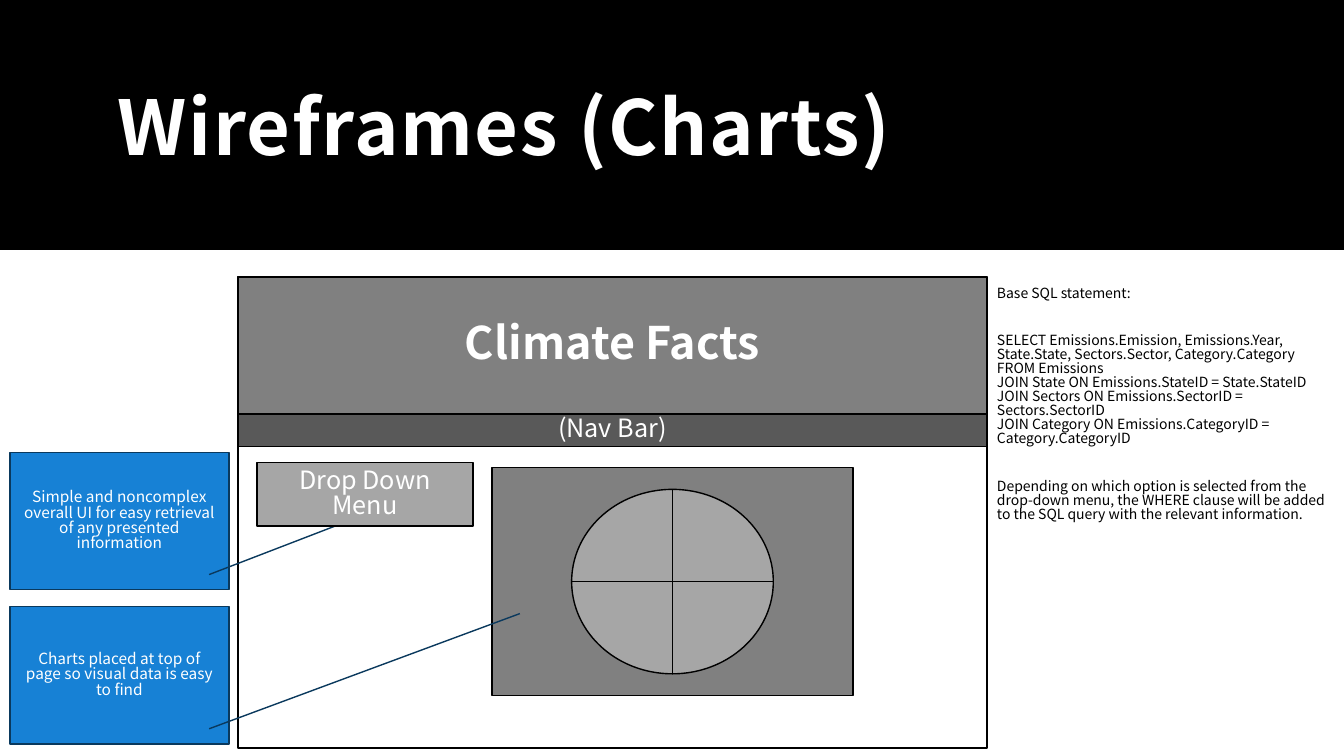
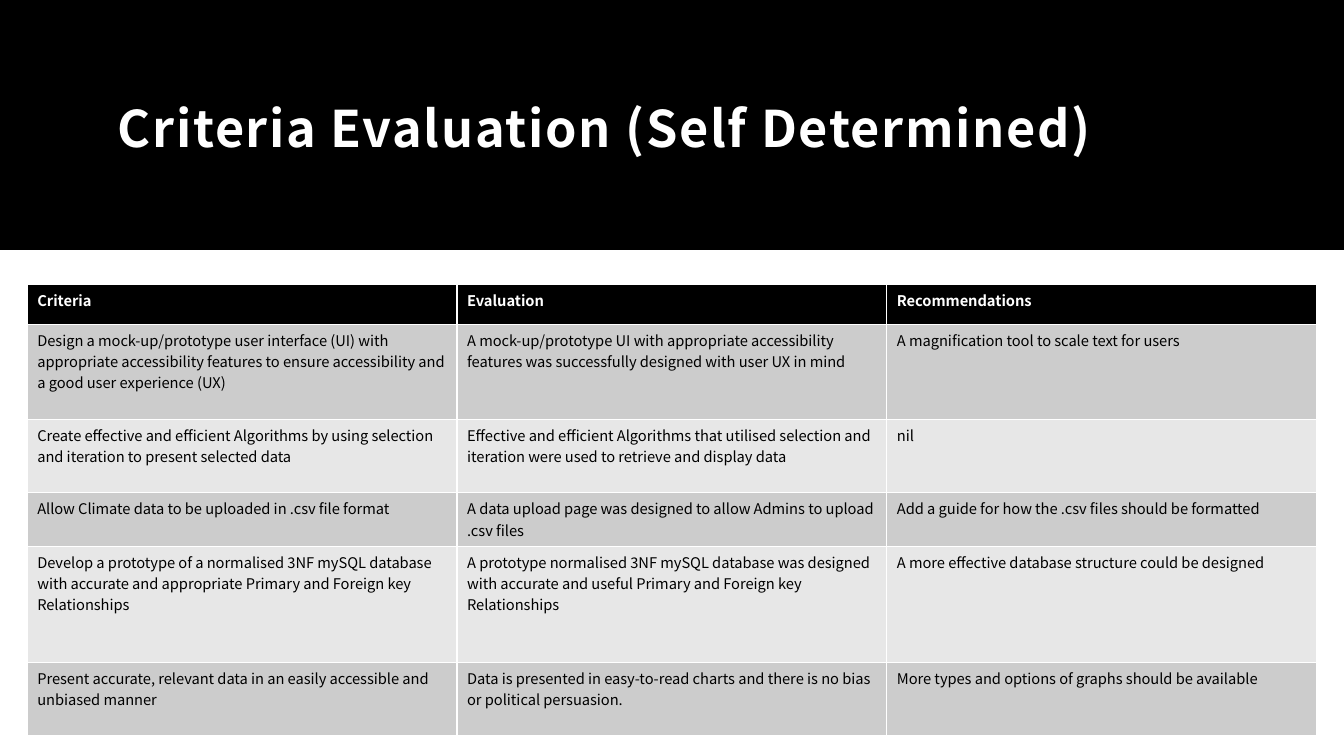
from pptx import Presentation
from pptx import util as u
from pptx.dml.color import RGBColor
from pptx.enum import shapes, text

FONT = "Noto Sans CJK JP"
COLORS = {
    "black": "000000", "white": "FFFFFF",
    "dark_grey": "595959", "grey": "808080", "light_grey": "A6A6A6",
    "callout": "1781D5", "callout_line": "0A395D",
    "row_odd": "CCCCCC", "row_even": "E7E7E7",
}
SLIDE_WIDTH, SLIDE_HEIGHT = 13.33, 7.5
TIGHT_SPACING = 0.83

# Each group is set apart from the one above it.
SQL_NOTES = [
    ["Base SQL statement:"],
    [
        "SELECT Emissions.Emission, Emissions.Year, State.State, "
        "Sectors.Sector, Category.Category",
        "FROM Emissions",
        "JOIN State ON Emissions.StateID = State.StateID",
        "JOIN Sectors ON Emissions.SectorID = Sectors.SectorID",
        "JOIN Category ON Emissions.CategoryID = Category.CategoryID",
    ],
    [
        "Depending on which option is selected from the drop-down menu, the "
        "WHERE clause will be added to the SQL query with the relevant information.",
    ],
]

CRITERIA = [
    ("Criteria", "Evaluation", "Recommendations"),
    (
        "Design a mock-up/prototype user interface (UI) with appropriate "
        "accessibility features to ensure accessibility and a good user experience (UX)",
        "A mock-up/prototype UI with appropriate accessibility features was "
        "successfully designed with user UX in mind",
        "A magnification tool to scale text for users",
    ),
    (
        "Create effective and efficient Algorithms by using selection and "
        "iteration to present selected data",
        "Effective and efficient Algorithms that utilised selection and "
        "iteration were used to retrieve and display data",
        "nil",
    ),
    (
        "Allow Climate data to be uploaded in .csv file format",
        "A data upload page was designed to allow Admins to upload .csv files",
        "Add a guide for how the .csv files should be formatted",
    ),
    (
        "Develop a prototype of a normalised 3NF mySQL database with accurate "
        "and appropriate Primary and Foreign key Relationships",
        "A prototype normalised 3NF mySQL database was designed with accurate "
        "and useful Primary and Foreign key Relationships",
        "A more effective database structure could be designed",
    ),
    (
        "Present accurate, relevant data in an easily accessible and unbiased manner",
        "Data is presented in easy-to-read charts and there is no bias or "
        "political persuasion.",
        "More types and options of graphs should be available",
    ),
]
ROW_HEIGHTS = [0.4, 0.94, 0.73, 0.53, 1.15, 0.73]


def rgb(name):
    return RGBColor.from_string(COLORS[name])


def format_text(paragraph, size, color, bold=False, spacing=None):
    paragraph.line_spacing = spacing
    for run in paragraph.runs:
        run.font.name = FONT
        run.font.size = u.Pt(size)
        run.font.bold = bold
        run.font.color.rgb = rgb(color)


def add_box(slide, kind, box, fill, line="black", label="", size=18, bold=False):
    """Add an outlined preset shape with an optional centred white label."""
    shape = slide.shapes.add_shape(kind, *map(u.Inches, box))
    shape.shadow.inherit = False
    shape.fill.solid()
    shape.fill.fore_color.rgb = rgb(fill)
    if line:
        shape.line.color.rgb = rgb(line)
        shape.line.width = u.Pt(1)
    else:
        shape.line.fill.background()
    if label:
        frame = shape.text_frame
        frame.text = label
        frame.word_wrap = True
        frame.vertical_anchor = text.MSO_ANCHOR.MIDDLE
        paragraph = frame.paragraphs[0]
        paragraph.alignment = text.PP_ALIGN.CENTER
        format_text(paragraph, size, "white", bold, TIGHT_SPACING)
    return shape


def add_titled_slide(presentation, title, size):
    slide = presentation.slides.add_slide(presentation.slide_layouts[6])
    add_box(slide, shapes.MSO_SHAPE.RECTANGLE, (0, 0, SLIDE_WIDTH, 2.48), "black", None)
    title_box = slide.shapes.add_textbox(*map(u.Inches, (1.05, 0.35, 11.23, 1.86)))
    frame = title_box.text_frame
    frame.text = title
    frame.word_wrap = True
    frame.vertical_anchor = text.MSO_ANCHOR.MIDDLE
    frame.margin_left = frame.margin_right = frame.margin_top = u.Inches(0.12)
    frame.margin_bottom = u.Inches(0.1)
    format_text(frame.paragraphs[0], size, "white", True, 0.95)
    frame.paragraphs[0].runs[0].font._element.set("spc", "120")
    return slide


def add_page_frame(slide, left, top, width, height):
    """Draw the mocked-up page: outline, banner and navigation bar."""
    rectangle = shapes.MSO_SHAPE.RECTANGLE
    banner_height = 1.36
    add_box(slide, rectangle, (left, top, width, height), "white")
    add_box(slide, rectangle, (left, top, width, banner_height), "grey",
            label="Climate Facts", size=32, bold=True)
    add_box(slide, rectangle, (left, top + banner_height, width, 0.32), "dark_grey",
            label="(Nav Bar)")


def add_chart_mockup(slide, left, top, width, height):
    add_box(slide, shapes.MSO_SHAPE.ACTION_BUTTON_INFORMATION,
            (left, top, width, height), "grey")
    pie_width, pie_height = 2, 1.83
    pie_box = (left + (width - pie_width) / 2, top + (height - pie_height) / 2,
               pie_width, pie_height)
    add_box(slide, shapes.MSO_SHAPE.FLOWCHART_OR, pie_box, "light_grey")


def add_callout(slide, left, top, label, target_y, target_x):
    """Add a callout; the target is given in fractions of its own size."""
    callout = add_box(slide, shapes.MSO_SHAPE.LINE_CALLOUT_1, (left, top, 2.17, 1.36),
                      "callout", "callout_line", label, 11)
    for index, value in enumerate((0.89, 0.91, target_y, target_x)):
        callout.adjustments[index] = value


def add_sql_notes(slide, left, top, width, height):
    notes = slide.shapes.add_textbox(*map(u.Inches, (left, top, width, height)))
    frame = notes.text_frame
    frame.word_wrap = True
    paragraph = frame.paragraphs[0]
    for group_index, group in enumerate(SQL_NOTES):
        for line_index, line in enumerate(group):
            if group_index or line_index:
                paragraph = frame.add_paragraph()
            paragraph.text = line
            format_text(paragraph, 10, "black", spacing=TIGHT_SPACING)
            if group_index and line_index == 0:
                paragraph.space_before = u.Pt(24)


def add_criteria_table(slide, left, top, width):
    columns = len(CRITERIA[0])
    table = slide.shapes.add_table(
        len(CRITERIA), columns, u.Inches(left), u.Inches(top),
        u.Inches(width), u.Inches(sum(ROW_HEIGHTS))).table
    for column in table.columns:
        column.width = u.Inches(width / columns)
    for row_index, (row, values) in enumerate(zip(table.rows, CRITERIA)):
        row.height = u.Inches(ROW_HEIGHTS[row_index])
        header = row_index == 0
        fill = "black" if header else "row_odd" if row_index % 2 else "row_even"
        for cell, value in zip(row.cells, values):
            cell.fill.solid()
            cell.fill.fore_color.rgb = rgb(fill)
            cell.text_frame.text = value
            format_text(cell.text_frame.paragraphs[0], 10.5,
                        "white" if header else "black", header)


def build_wireframe_slide(presentation):
    slide = add_titled_slide(presentation, "Wireframes (Charts)", 54)
    add_page_frame(slide, 2.36, 2.75, 7.43, 4.67)
    add_chart_mockup(slide, 4.88, 4.64, 3.58, 2.26)
    add_callout(slide, 0.1, 4.49, "Simple and noncomplex overall UI for easy "
                "retrieval of any presented information", 0.46, 1.61)
    add_callout(slide, 0.1, 6.02, "Charts placed at top of page so visual data "
                "is easy to find", 0.05, 2.33)
    add_box(slide, shapes.MSO_SHAPE.FLOWCHART_PROCESS, (2.55, 4.59, 2.14, 0.63),
            "light_grey", label="Drop Down Menu")
    add_sql_notes(slide, 9.79, 2.8, 3.54, 3.13)


def build_criteria_slide(presentation):
    slide = add_titled_slide(presentation, "Criteria Evaluation (Self Determined)", 36)
    add_criteria_table(slide, 0.27, 2.82, 12.79)


def main():
    presentation = Presentation()
    presentation.slide_width = u.Inches(SLIDE_WIDTH)
    presentation.slide_height = u.Inches(SLIDE_HEIGHT)
    build_wireframe_slide(presentation)
    build_criteria_slide(presentation)
    presentation.save("out.pptx")


if __name__ == "__main__":
    main()
